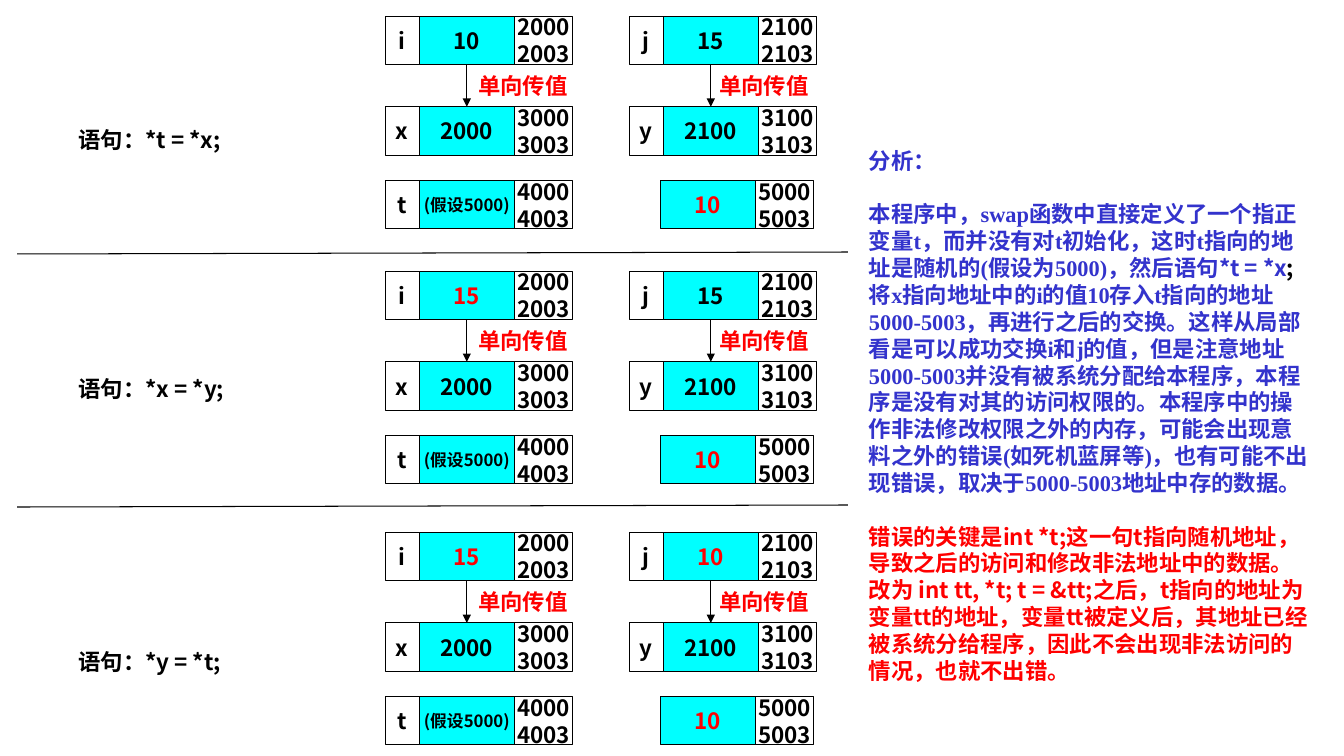
from lxml import etree
from pptx import Presentation
from pptx.dml.color import RGBColor
from pptx.enum.shapes import MSO_CONNECTOR, MSO_SHAPE
from pptx.enum.text import MSO_ANCHOR, PP_ALIGN
from pptx.oxml.ns import qn
from pptx.util import Inches, Pt

RECT = MSO_SHAPE.RECTANGLE
STRAIGHT = MSO_CONNECTOR.STRAIGHT
MIDDLE, TOP = MSO_ANCHOR.MIDDLE, MSO_ANCHOR.TOP
CENTER, LEFT = PP_ALIGN.CENTER, PP_ALIGN.LEFT
SANS, SERIF = "Noto Sans CJK SC", "Times New Roman"
BLACK, RED, BLUE, CYAN = "000000", "FF0000", "3333CC", "00FFFF"

STEPS = [
    {"top": 0.16, "label_top": 1.2, "label": "语句：*t = *x;",
     "i": ("10", BLACK), "j": ("15", BLACK)},
    {"top": 2.69, "label_top": 3.67, "label": "语句：*x = *y;",
     "i": ("15", RED), "j": ("15", BLACK)},
    {"top": 5.28, "label_top": 6.38, "label": "语句：*y = *t;",
     "i": ("15", RED), "j": ("10", RED)},
]
PASS_LABEL = "单向传值"
DIVIDERS = [2.52, 5.03]
ANALYSIS = [
    (0, [("分析：", SERIF, BLUE)]),
    (19, [
        ("本程序中，swap函数中直接定义了一个指正变量t，而并没有对t初始化，"
         "这时t指向的地址是随机的(假设为5000)，然后语句", SERIF, BLUE),
        ("*t = *x", SANS, BLUE),
        (";", SANS, BLACK),
        ("将x指向地址中的i的值10存入t指向的地址5000-5003，再进行之后的交换。"
         "这样从局部看是可以成功交换i和j的值，但是注意地址5000-5003并没有被系统分配给本程序，"
         "本程序是没有对其的访问权限的。本程序中的操作非法修改权限之外的内存，"
         "可能会出现意料之外的错误(如死机蓝屏等)，也有可能不出现错误，"
         "取决于5000-5003地址中存的数据。", SERIF, BLUE),
    ]),
    (19, [
        ("错误的关键是", SERIF, RED),
        ("int *t;这一句t指向随机地址，导致之后的访问和修改非法地址中的数据。", SANS, RED),
    ]),
    (0, [("改为 int tt, *t; t = &tt;之后，t指向的地址为变量tt的地址，变量tt被定义后，"
          "其地址已经被系统分给程序，因此不会出现非法访问的情况，也就不出错。", SANS, RED)]),
]

NAME_W, VALUE_W, ADDR_W, CELL_H = 0.34, 0.94, 0.58, 0.48
PARAM_DY, TEMP_DY = 0.9, 1.63
LEFT_X, RIGHT_X, TARGET_X = 3.82, 6.24, 6.55
ARROW_DX = 0.81

prs = Presentation()
prs.slide_width, prs.slide_height = Inches(13.33), Inches(7.5)
s = prs.slides.add_slide(prs.slide_layouts[6])


def rgb(value):
    return RGBColor.from_string(value)


def add_run(p, text, font, color, size=16):
    r = p.add_run()
    r.text = text
    r.font.size, r.font.bold, r.font.name = Pt(size), True, font
    r.font.color.rgb = rgb(color)
    ea = etree.SubElement(r.font._element, qn("a:ea"))
    ea.set("typeface", SANS)


def write(sp, paragraphs, align=CENTER, anchor=MIDDLE, wrap=False, size=16):
    tf = sp.text_frame
    tf.word_wrap, tf.vertical_anchor = wrap, anchor
    if not wrap:
        tf.margin_left = tf.margin_right = 0
    for n, (space, runs) in enumerate(paragraphs):
        p = tf.add_paragraph() if n else tf.paragraphs[0]
        p.alignment = align
        if space:
            p.space_before = Pt(space)
        for text, font, color in runs:
            add_run(p, text, font, color, size)


def plain(*lines, color=BLACK):
    return [(0, [(line, SANS, color)]) for line in lines]


def add_text(x, y, w, h, paragraphs, **style):
    sp = s.shapes.add_textbox(Inches(x), Inches(y), Inches(w), Inches(h))
    write(sp, paragraphs, **style)


def add_cell(x, y, w, paragraphs, fill=None, size=16):
    sp = s.shapes.add_shape(RECT, Inches(x), Inches(y), Inches(w), Inches(CELL_H))
    sp.shadow.inherit = False
    if fill:
        sp.fill.solid()
        sp.fill.fore_color.rgb = rgb(fill)
    else:
        sp.fill.background()
    sp.line.color.rgb, sp.line.width = rgb(BLACK), Pt(0.75)
    write(sp, paragraphs, size=size)


def add_variable(x, y, name, value, address, color=BLACK, size=16):
    if name:
        add_cell(x, y, NAME_W, plain(name))
        x += NAME_W
    add_cell(x, y, VALUE_W, plain(value, color=color), CYAN, size)
    add_cell(x + VALUE_W, y, ADDR_W, plain(str(address), str(address + 3)))


def add_line(x1, y1, x2, y2, arrow=False):
    cx = s.shapes.add_connector(STRAIGHT, Inches(x1), Inches(y1), Inches(x2), Inches(y2))
    cx.line.color.rgb, cx.line.width = rgb(BLACK), Pt(0.75)
    spPr = cx._element.spPr
    if arrow:
        tail = etree.SubElement(spPr.find(qn("a:ln")), qn("a:tailEnd"))
        tail.set("type", "triangle")
    etree.SubElement(spPr, qn("a:effectLst"))


for step in STEPS:
    top = step["top"]
    arrow_top, param_top, temp_top = top + CELL_H, top + PARAM_DY, top + TEMP_DY
    for x, label_x, name, param, address in [
        (LEFT_X, 4.69, "i", "x", 2000),
        (RIGHT_X, 7.08, "j", "y", 2100),
    ]:
        value, color = step[name]
        add_variable(x, top, name, value, address, color)
        add_variable(x, param_top, param, str(address), address + 1000)
        add_line(x + ARROW_DX, arrow_top, x + ARROW_DX, param_top, arrow=True)
        add_text(label_x, arrow_top, 0.99, PARAM_DY - CELL_H, plain(PASS_LABEL, color=RED))
    add_variable(LEFT_X, temp_top, "t", "(假设5000)", 4000, size=12)
    add_variable(TARGET_X, temp_top, None, "10", 5000, RED)
    add_text(0.68, step["label_top"], 6.67, 0.37, plain(step["label"]),
             align=LEFT, anchor=TOP, wrap=True)

for y in DIVIDERS:
    add_line(0.17, y, 8.41, y - 0.02)

add_text(8.52, 1.41, 4.6, 6.09, ANALYSIS, align=LEFT, anchor=TOP, wrap=True)

prs.save("out.pptx")
